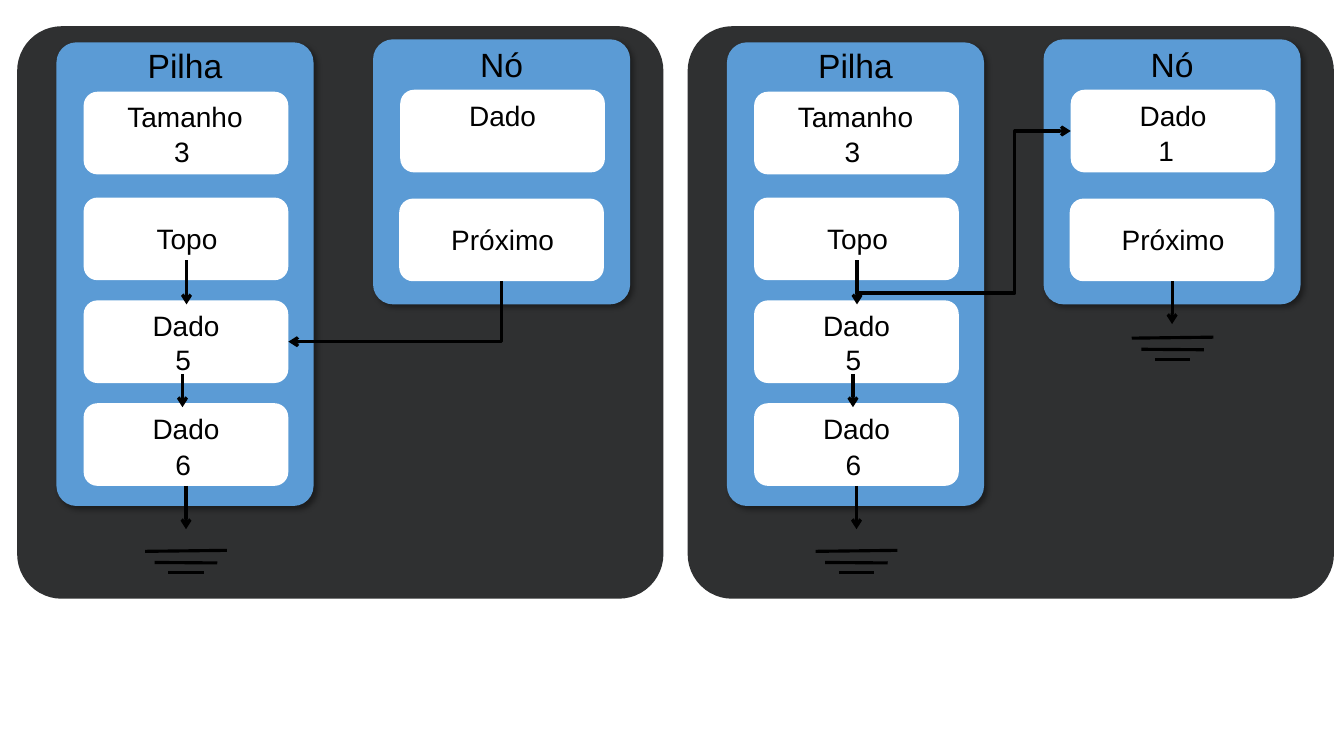
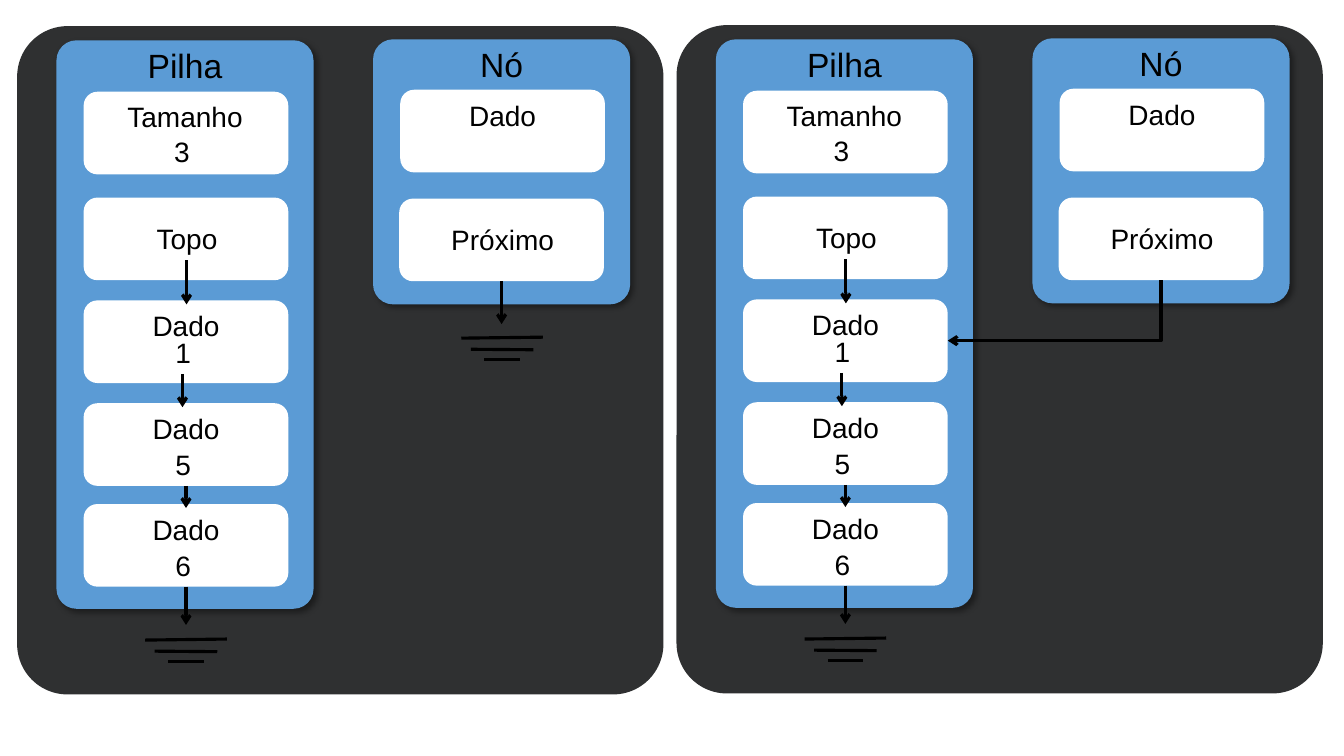
"""Build two slides of stack diagrams that show how a node is pushed and popped."""
import pptx
import pptx.dml.color
import pptx.enum.shapes
import pptx.enum.text
import pptx.oxml
import pptx.oxml.ns
import pptx.util

COLORS = {"panel": "2F3031", "card": "5B9BD5", "box": "FFFFFF", "ink": "000000"}
FONT = "Arial"
CELL = pptx.util.Inches(0.1)
BOX_WIDTH, BOX_HEIGHT = 20.3, 8.2
CARD_WIDTH = 25.5
CARD_ROUNDING = 0.078
ROWS = [9.1, 19.6, 29.8, 40, 50]
NAMESPACE = pptx.oxml.ns.nsdecls("a")
SHADOW = (
    f'<a:effectLst {NAMESPACE}><a:outerShdw blurRad="50800" dist="38100" dir="2700000" algn="tl" '
    'rotWithShape="0"><a:srgbClr val="000000"><a:alpha val="40000"/></a:srgbClr>'
    "</a:outerShdw></a:effectLst>"
)
CONNECTOR = pptx.enum.shapes.MSO_CONNECTOR


def add_box(slide, place, color, rounding=None):
    """Add a borderless rounded box at a place given in grid cells."""
    shape = slide.shapes.add_shape(
        pptx.enum.shapes.MSO_SHAPE.ROUNDED_RECTANGLE, *[round(cells * CELL) for cells in place])
    shape.shadow.inherit = False
    shape.fill.solid()
    shape.fill.fore_color.rgb = pptx.dml.color.RGBColor.from_string(COLORS[color])
    shape.line.fill.background()
    if rounding:
        shape.adjustments[0] = rounding
    return shape


def add_line(shapes, ends, arrow=True, kind=CONNECTOR.STRAIGHT):
    """Add a black connector between two points given in grid cells."""
    connector = shapes.add_connector(kind, *[round(cells * CELL) for cells in ends])
    connector.line.color.rgb = pptx.dml.color.RGBColor.from_string(COLORS["ink"])
    connector.line.width = pptx.util.Pt(2.25)
    if arrow:
        connector.line._get_or_add_ln().append(
            pptx.oxml.parse_xml(f'<a:tailEnd {NAMESPACE} type="arrow"/>'))
    connector.element.spPr.append(pptx.oxml.parse_xml(f"<a:effectLst {NAMESPACE}/>"))
    return connector


presentation = pptx.Presentation()
presentation.slide_width = pptx.util.Inches(13.33)
presentation.slide_height = pptx.util.Inches(7.5)

SLIDES = [
    {"panel_height": 56.8, "card_top": 4.2, "card_height": 46, "stack": ["5", "6"],
     "first_drop": 3.7, "arrow_end": 52.5, "ground": 54.7,
     "panels": [(0, 0, "", "next to stack"), (66.5, 0, "1", "top to node")]},
    {"panel_height": 66.3, "card_top": 4, "card_height": 56.4, "stack": ["1", "5", "6"],
     "first_drop": 3, "arrow_end": 62, "ground": 63.5,
     "panels": [(0, 0, "", "next to ground"), (65.4, -0.1, "", "next to stack")]},
]

for state in SLIDES:
    slide = presentation.slides.add_slide(presentation.slide_layouts[6])
    for x, y, node_value, link in state["panels"]:
        add_box(slide, (x + 1.7, y + 2.6, 64.1, state["panel_height"]), "panel", CARD_ROUNDING)
        for left, top, height in [(37, 3.9, 26.3), (5.6, state["card_top"], state["card_height"])]:
            card = add_box(slide, (x + left, y + top, CARD_WIDTH, height), "card", CARD_ROUNDING)
            effects = card.element.spPr.find(pptx.oxml.ns.qn("a:effectLst"))
            card.element.spPr.replace(effects, pptx.oxml.parse_xml(SHADOW))

        node_data, node_next = [
            add_box(slide, (x + left, y + top, BOX_WIDTH, BOX_HEIGHT), "box")
            for left, top in [(39.7, 8.9), (39.6, 19.7)]]
        stack_boxes = [
            add_box(slide, (x + 8.3, y + top, BOX_WIDTH, BOX_HEIGHT), "box")
            for top in ROWS[:2 + len(state["stack"])]]

        labels = [
            ("Nó", 43.9, 3.9, 11.7, 24), ("Dado", 42.8, 9.3, 14.1, 20),
            ("Próximo", 42.8, 21.6, 14.1, 20), ("Pilha", 12.5, 4, 11.7, 24),
            ("Tamanho", 11.3, 9.4, 14.1, 20), ("3", 16.3, 12.9, 4, 20),
            ("Topo", 11.5, 21.5, 14.1, 20),
        ]
        for index, value in enumerate(state["stack"]):
            top = ROWS[2 + index]
            drop = 3.9 if index else state["first_drop"]
            labels += [("Dado", 11.4, top + 0.35, 14.1, 20), (value, 16.4, top + drop, 4, 20)]
        if node_value:
            labels.append((node_value, 47.4, 12.8, 5, 20))
        for text, left, top, width, size in labels:
            height = 5 if size == 24 else 4.4
            text_box = slide.shapes.add_textbox(
                *[round(cells * CELL) for cells in (x + left, y + top, width, height)])
            text_box.text_frame.word_wrap = True
            text_box.text_frame.auto_size = pptx.enum.text.MSO_AUTO_SIZE.SHAPE_TO_FIT_TEXT
            paragraph = text_box.text_frame.paragraphs[0]
            if not text.isdigit():
                paragraph.alignment = pptx.enum.text.PP_ALIGN.CENTER
            run = paragraph.add_run()
            run.text = text
            run.font.name = FONT
            run.font.size = pptx.util.Pt(size)
            run.font.color.rgb = pptx.dml.color.RGBColor.from_string(COLORS["ink"])

        arrows = [
            (None, 18.5, 25.8, 30.2), (None, 18.1, 37.1, 40.4),
            (stack_boxes[-1], 18.45, ROWS[len(stack_boxes) - 1] + BOX_HEIGHT, state["arrow_end"]),
        ]
        grounds = [(18.45, state["ground"])]
        if len(stack_boxes) == 5:
            arrows.append((stack_boxes[3], 18.45, 48.2, 50.4))
        if link != "next to stack":
            arrows.append((node_next, 49.75, 27.9, 32.15))
            grounds.append((49.8, 33.55))
        for source, middle, start, end in arrows:
            arrow = add_line(slide.shapes, (x + middle, y + start, x + middle, y + end))
            if source:
                arrow.begin_connect(source, 2)
        for middle, top in grounds:
            group = slide.shapes.add_group_shape()
            for width, drop, tilt in [(8.1, 0, -0.1), (6.2, 1.1, 0.05), (3.5, 2.1, 0)]:
                start = x + middle - width / 2
                add_line(group.shapes, (start, y + top + drop, start + width, y + top + drop + tilt),
                         arrow=False)

        if link == "next to ground":
            continue
        if link == "next to stack":
            source, target, side = node_next, stack_boxes[2], 3
            ends = (x + 49.75, y + 27.9, x + 28.6, y + 33.9)
            preset, bends = "bentConnector2", []
        else:
            source, target, side = stack_boxes[1], node_data, 1
            ends = (x + 18.45, y + 27.8, x + 39.7, y + 13)
            preset, bends = "bentConnector4", [-8600, 73900]
        elbow = add_line(slide.shapes, ends, kind=CONNECTOR.ELBOW)
        elbow.begin_connect(source, 2)
        elbow.end_connect(target, side)
        across, down = elbow.end_x - elbow.begin_x, elbow.end_y - elbow.begin_y
        center_x, center_y = elbow.begin_x + across // 2, elbow.begin_y + down // 2
        elbow.width, elbow.height = abs(down), abs(across)
        elbow.left, elbow.top = center_x - abs(down) // 2, center_y - abs(across) // 2
        transform = elbow.element.spPr.find(pptx.oxml.ns.qn("a:xfrm"))
        transform.set("rot", "5400000")
        transform.set("flipH", str(int(down < 0)))
        transform.set("flipV", str(int(across > 0)))
        guides = "".join(
            f'<a:gd name="adj{number}" fmla="val {bend}"/>' for number, bend in enumerate(bends, 1))
        geometry = elbow.element.spPr.find(pptx.oxml.ns.qn("a:prstGeom"))
        elbow.element.spPr.replace(geometry, pptx.oxml.parse_xml(
            f'<a:prstGeom {NAMESPACE} prst="{preset}"><a:avLst>{guides}</a:avLst></a:prstGeom>'))

presentation.save("out.pptx")
